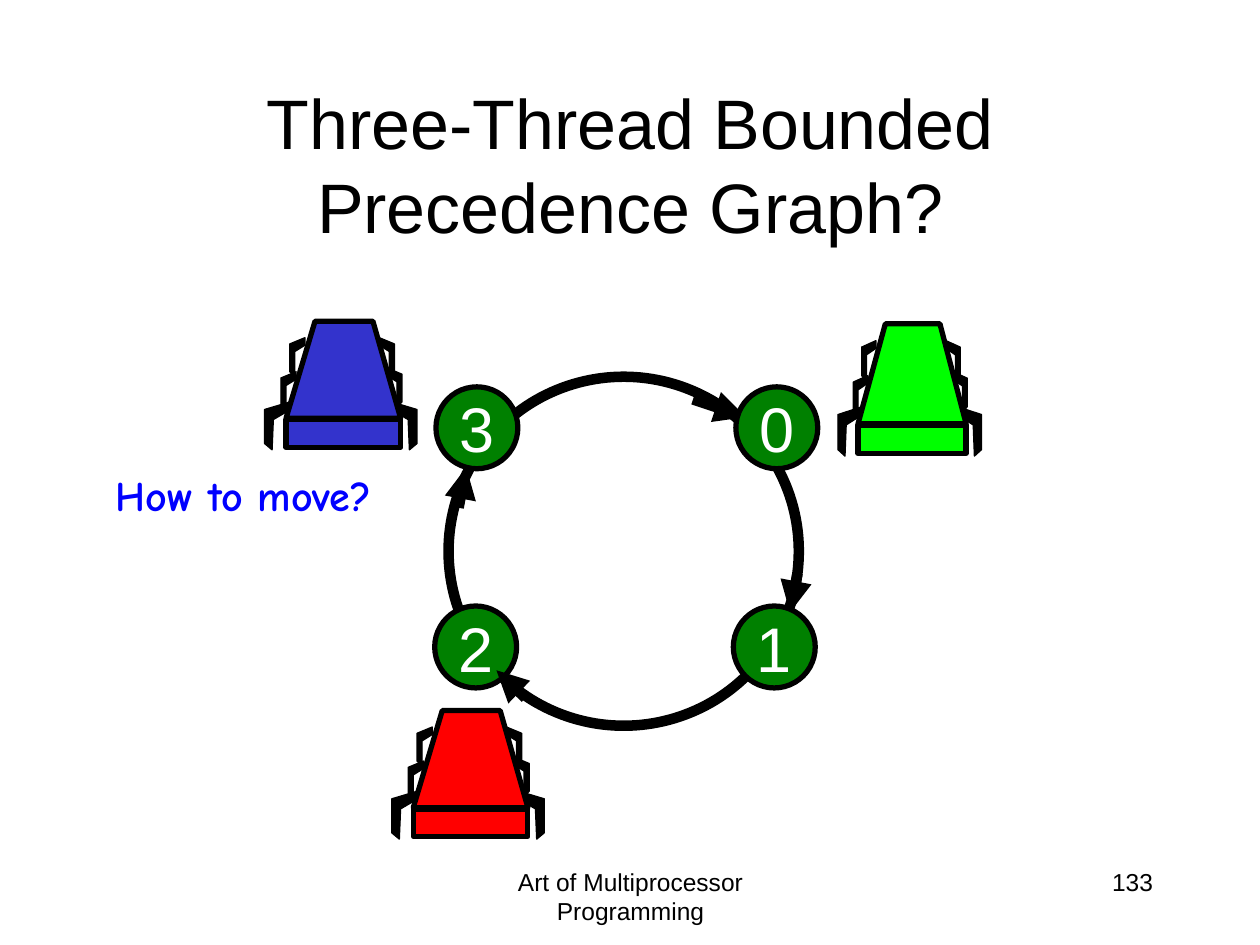
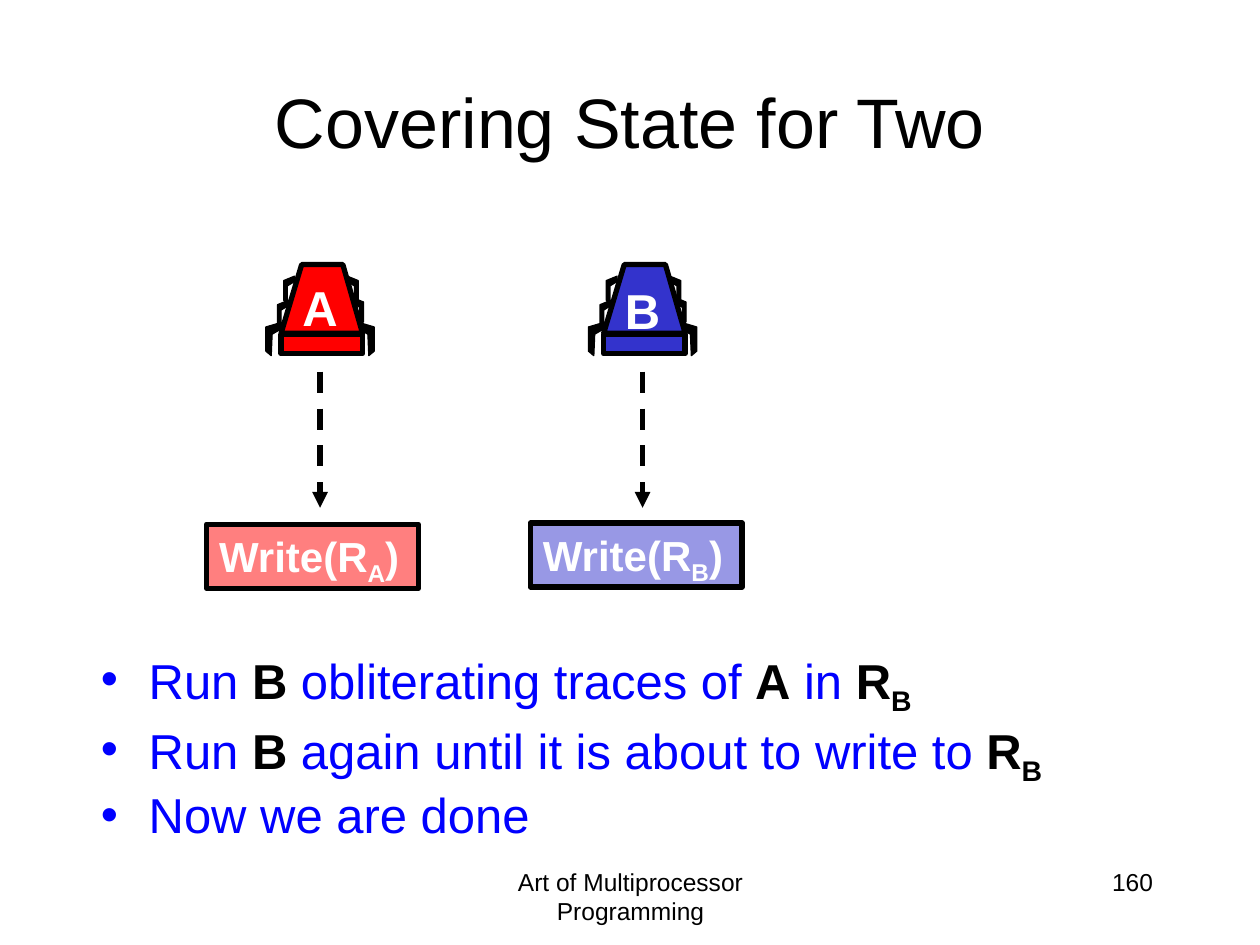
from lxml.etree import SubElement
from pptx import Presentation
from pptx.dml.color import RGBColor
from pptx.enum.dml import MSO_LINE
from pptx.enum.shapes import MSO_CONNECTOR, MSO_SHAPE
from pptx.enum.text import MSO_ANCHOR, MSO_AUTO_SIZE, PP_ALIGN
from pptx.oxml.ns import qn
from pptx.util import Inches, Pt

# Shared look
BLACK = RGBColor(0x00, 0x00, 0x00)
WHITE = RGBColor(0xFF, 0xFF, 0xFF)
BLUE = RGBColor(0x00, 0x00, 0xFF)
INDIGO = RGBColor(0x33, 0x33, 0xCC)
RED = RGBColor(0xFF, 0x00, 0x00)
LIME = RGBColor(0x00, 0xFF, 0x00)
GREEN = RGBColor(0x00, 0x80, 0x00)
FONT = "Arial"
HAND_FONT = "Comic Neue"
FOOTER = "Art of Multiprocessor Programming"
TITLE_ONLY, TITLE_AND_BODY = 5, 1

# Robot design, drawn in a frame of this size and scaled to fit
FRAME_WIDTH, FRAME_HEIGHT = 1.21, 1.03
BIG_LEG = [(0, 0), (0.2, 0.06), (0.2, 0.33), (0.14, 0.38), (0.13, 0.14), (0.01, 0.07)]
SMALL_LEG = [(0, 0), (0.12, 0.05), (0.12, 0.27), (0.08, 0.31), (0.08, 0.11), (0, 0.06)]
# Each leg: outline, start x, start y, direction (1 right, -1 left)
LOWER_LEGS = [(BIG_LEG, 1.01, 0.64, 1), (SMALL_LEG, 0.97, 0.37, 1),
              (BIG_LEG, 0.2, 0.64, -1), (SMALL_LEG, 0.25, 0.4, -1)]
UPPER_LEGS = [(SMALL_LEG, 0.91, 0.13, 1), (SMALL_LEG, 0.32, 0.13, -1)]
HULL = [(0.17, 0.77), (0.4, 0), (0.86, 0), (1.08, 0.77)]


def place(shape, left, top, width, height):
    shape.left, shape.top = Inches(left), Inches(top)
    shape.width, shape.height = Inches(width), Inches(height)


def style_run(run, size, color, bold=False, font=FONT):
    run.font.size = Pt(size)
    run.font.name = font
    run.font.bold = bold
    run.font.color.rgb = color


def paint(shape, fill, line_width):
    shape.shadow.inherit = False
    if fill is None:
        shape.fill.background()
    else:
        shape.fill.solid()
        shape.fill.fore_color.rgb = fill
    shape.line.color.rgb = BLACK
    shape.line.width = Pt(line_width)


def add_runs(paragraph, parts, size, plain, strong):
    """Each part is (text, kind); kind is "plain", "strong" or "sub"."""
    for text, kind in parts:
        run = paragraph.add_run()
        run.text = text
        is_plain = kind == "plain"
        style_run(run, size, plain if is_plain else strong, bold=not is_plain)
        if kind == "sub":
            run._r.get_or_add_rPr().set("baseline", "-25000")


def add_label(slide, text, box, size, color, align=PP_ALIGN.LEFT,
              bold=False, font=FONT, wrap=False):
    label = slide.shapes.add_textbox(*map(Inches, box))
    frame = label.text_frame
    frame.word_wrap = wrap
    frame.auto_size = MSO_AUTO_SIZE.NONE if wrap else MSO_AUTO_SIZE.SHAPE_TO_FIT_TEXT
    frame.text = text
    frame.paragraphs[0].alignment = align
    style_run(frame.paragraphs[0].runs[0], size, color, bold, font)


def start_slide(prs, layout, title_text, title_top, number):
    slide = prs.slides.add_slide(prs.slide_layouts[layout])
    title = slide.shapes.title
    place(title, 0.75, title_top, 8.5, 1.25)
    frame = title.text_frame
    frame.text = title_text
    frame.auto_size = MSO_AUTO_SIZE.NONE
    frame.vertical_anchor = MSO_ANCHOR.MIDDLE
    frame.paragraphs[0].alignment = PP_ALIGN.CENTER
    style_run(frame.paragraphs[0].runs[0], 40, BLACK)
    # Footer and slide number
    add_label(slide, FOOTER, (3.42, 6.83, 3.17, 0.5), 14, BLACK, PP_ALIGN.CENTER, wrap=True)
    add_label(slide, number, (7.17, 6.83, 2.08, 0.5), 14, BLACK, PP_ALIGN.RIGHT, wrap=True)
    return slide


def add_arrow(slide, start, end, width, dashed=False):
    arrow = slide.shapes.add_connector(
        MSO_CONNECTOR.STRAIGHT, *map(Inches, (*start, *end)))
    arrow.line.color.rgb = BLACK
    arrow.line.width = Pt(width)
    if dashed:
        arrow.line.dash_style = MSO_LINE.DASH
    SubElement(arrow.line._get_or_add_ln(), qn("a:tailEnd"), type="triangle")
    SubElement(arrow._element.spPr, qn("a:effectLst"))


def add_robot(slide, left, top, width, height, color):
    robot = slide.shapes.add_group_shape()
    x_scale, y_scale = width / FRAME_WIDTH, height / FRAME_HEIGHT

    def add_outline(points, fill, line_width):
        corners = [(Inches(left + x * x_scale), Inches(top + y * y_scale))
                   for x, y in points]
        builder = robot.shapes.build_freeform(*corners[0])
        builder.add_line_segments(corners[1:], close=True)
        paint(builder.convert_to_shape(), fill, line_width)

    def add_legs(legs):
        for outline, start_x, start_y, side in legs:
            add_outline([(start_x + side * x, start_y + y) for x, y in outline],
                        BLACK, 0.75)

    add_legs(LOWER_LEGS)
    add_outline(HULL, color, 3)
    base = robot.shapes.add_shape(
        MSO_SHAPE.RECTANGLE, Inches(left + 0.17 * x_scale), Inches(top + 0.78 * y_scale),
        Inches(0.91 * x_scale), Inches(0.22 * y_scale))
    paint(base, color, 3)
    add_legs(UPPER_LEGS)


def add_node(slide, name, left, top):
    node = slide.shapes.add_shape(
        MSO_SHAPE.OVAL, *map(Inches, (left, top, 0.65, 0.65)))
    paint(node, GREEN, 3)
    frame = node.text_frame
    frame.word_wrap = False
    frame.vertical_anchor = MSO_ANCHOR.MIDDLE
    frame.text = name
    frame.paragraphs[0].alignment = PP_ALIGN.CENTER
    style_run(frame.paragraphs[0].runs[0], 36, WHITE)


def add_write_box(slide, register, left, top, color):
    write = slide.shapes.add_shape(
        MSO_SHAPE.RECTANGLE, *map(Inches, (left, top, 1.68, 0.51)))
    paint(write, color, 3)
    tint = write.fill._xPr.find(qn("a:solidFill"))[0]
    SubElement(tint, qn("a:alpha"), val="50000")
    frame = write.text_frame
    frame.word_wrap = False
    frame.auto_size = MSO_AUTO_SIZE.SHAPE_TO_FIT_TEXT
    frame.vertical_anchor = MSO_ANCHOR.TOP
    frame.paragraphs[0].alignment = PP_ALIGN.LEFT
    add_runs(frame.paragraphs[0],
             [("Write(R", "strong"), (register, "sub"), (")", "strong")],
             24, WHITE, WHITE)


def fill_bullets(body, items):
    place(body, 0.7, 5.04, 8.48, 1.63)
    frame = body.text_frame
    frame.auto_size = MSO_AUTO_SIZE.NONE
    frame.margin_top = Inches(0.13)
    for index, parts in enumerate(items):
        paragraph = frame.add_paragraph() if index else frame.paragraphs[0]
        properties = paragraph._p.get_or_add_pPr()
        properties.set("marL", str(Inches(0.38)))
        properties.set("indent", str(-Inches(0.38)))
        SubElement(properties, qn("a:buChar"), char="•")
        paragraph.line_spacing = 0.9
        paragraph.space_before = Pt(5.6 if index else 0)
        add_runs(paragraph, parts, 28, BLUE, BLACK)


def build_precedence_graph(prs):
    slide = start_slide(prs, TITLE_ONLY, "Three-Thread Bounded Precedence Graph?", 0.67, "133")
    # Cycle of four nodes
    ring = slide.shapes.add_shape(
        MSO_SHAPE.OVAL, *map(Inches, (3.56, 2.99, 2.78, 2.77)))
    paint(ring, None, 6)
    add_node(slide, "1", 5.82, 4.81)
    add_node(slide, "2", 3.45, 4.81)
    for start, end in [((6.33, 4.55), (6.27, 4.86)),
                       ((4.17, 5.54), (3.94, 5.32)),
                       ((5.5, 3.17), (5.92, 3.31))]:
        add_arrow(slide, start, end, 6)
    add_node(slide, "0", 5.84, 3.07)
    add_node(slide, "3", 3.46, 3.07)
    add_arrow(slide, (3.64, 4.03), (3.7, 3.71), 6)
    # Threads
    add_robot(slide, 3.11, 5.64, 1.21, 1.03, RED)
    add_robot(slide, 2.1, 2.55, 1.21, 1.03, INDIGO)
    add_robot(slide, 6.65, 2.57, 1.14, 1.06, LIME)
    add_label(slide, "How to move?", (0.82, 3.68, 2.48, 0.5), 24, BLUE,
              bold=True, font=HAND_FONT)


def build_covering_state(prs):
    slide = start_slide(prs, TITLE_AND_BODY, "Covering State for Two", 0.33, "160")
    # What to run next
    fill_bullets(slide.placeholders[1], [
        [("Run ", "plain"), ("B", "strong"), (" obliterating traces of ", "plain"),
         ("A", "strong"), (" in ", "plain"), ("R", "strong"), ("B", "sub")],
        [("Run ", "plain"), ("B", "strong"),
         (" again until it is about to write to ", "plain"),
         ("R", "strong"), ("B", "sub")],
        [("Now we are done", "plain")],
    ])
    # Each thread about to write its register
    for name, color, left, letter_top, write_left, write_top in [
            ("A", RED, 2.11, 2.15, 1.64, 4.16),
            ("B", INDIGO, 4.67, 2.18, 4.21, 4.15)]:
        center = left + 0.43
        add_robot(slide, left, 2.1, 0.86, 0.73, color)
        add_label(slide, name, (center - 0.24, letter_top, 0.48, 0.57), 28, WHITE,
                  PP_ALIGN.CENTER, bold=True)
        add_arrow(slide, (center, 2.95), (center, 4.03), 3, dashed=True)
        add_write_box(slide, name, write_left, write_top, color)


def main():
    prs = Presentation()
    prs.slide_width, prs.slide_height = Inches(10), Inches(7.5)
    build_precedence_graph(prs)
    build_covering_state(prs)
    prs.save("out.pptx")


if __name__ == "__main__":
    main()
